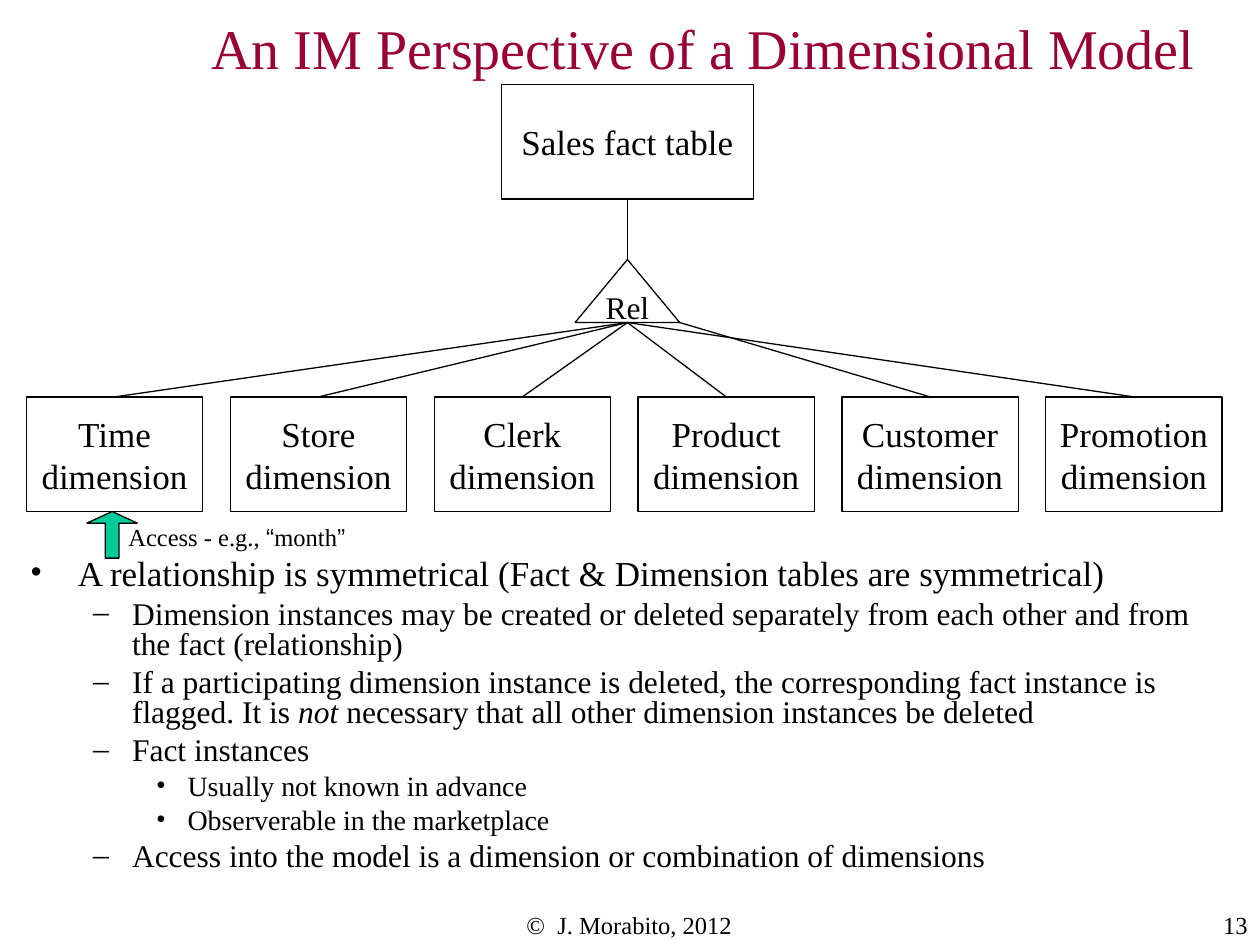
from lxml import etree
from pptx import Presentation
from pptx.dml.color import RGBColor
from pptx.enum.shapes import MSO_CONNECTOR, MSO_SHAPE
from pptx.enum.text import MSO_ANCHOR, PP_ALIGN
from pptx.oxml.ns import qn
from pptx.util import Inches, Pt

LEFT, CENTER, RIGHT = PP_ALIGN.LEFT, PP_ALIGN.CENTER, PP_ALIGN.RIGHT
TOP, MIDDLE = MSO_ANCHOR.TOP, MSO_ANCHOR.MIDDLE
RECTANGLE, TRIANGLE = MSO_SHAPE.RECTANGLE, MSO_SHAPE.ISOSCELES_TRIANGLE
UP_ARROW, STRAIGHT = MSO_SHAPE.UP_ARROW, MSO_CONNECTOR.STRAIGHT
SERIF, SANS = "Times New Roman", "Arial"
BLACK, MAROON, GREEN = "000000", "990033", "00CC99"

DIMENSIONS = ["Time", "Store", "Clerk", "Product", "Customer", "Promotion"]
LEVELS = [
    {"margin": 0.38, "hanging": 0.38, "before": 5, "bullet": "•", "size": 20},
    {"margin": 0.81, "hanging": 0.31, "before": 4.5, "bullet": "–", "size": 18},
    {"margin": 1.25, "hanging": 0.25, "before": 4, "bullet": "•", "size": 16},
]
POINTS = [
    (0, ["A relationship is symmetrical (Fact & Dimension tables are symmetrical)"]),
    (1, ["Dimension instances may be created or deleted separately from each other "
         "and from the fact (relationship)"]),
    (1, ["If a participating dimension instance is deleted, the corresponding fact "
         "instance is flagged. It is ", "not",
         " necessary that all other dimension instances be deleted"]),
    (1, ["Fact instances"]),
    (2, ["Usually not known in advance"]),
    (2, ["Observerable in the marketplace"]),
    (1, ["Access into the model is a dimension or combination of dimensions"]),
]


def rgb(value):
    """Turn a hex string into a colour."""
    return RGBColor.from_string(value)


def format_run(run, size, color=BLACK, font=SERIF):
    """Give a run its font, size and colour."""
    run.font.name = font
    run.font.size = Pt(size)
    run.font.color.rgb = rgb(color)


def write(frame, text, size, align, anchor=TOP, color=BLACK, wrap=True):
    """Fill a text frame with evenly formatted paragraphs."""
    frame.text = text
    frame.word_wrap = wrap
    frame.vertical_anchor = anchor
    for paragraph in frame.paragraphs:
        paragraph.alignment = align
        for run in paragraph.runs:
            format_run(run, size, color)


def add_label(slide, box, text, size, align, anchor=TOP, color=BLACK):
    """Place one line of text in the given box."""
    label = slide.shapes.add_textbox(*map(Inches, box))
    write(label.text_frame, text, size, align, anchor, color)


def add_outline(slide, preset, box, fill=None):
    """Place a thinly outlined preset shape."""
    outline = slide.shapes.add_shape(preset, *map(Inches, box))
    outline.shadow.inherit = False
    if fill:
        outline.fill.solid()
        outline.fill.fore_color.rgb = rgb(fill)
    else:
        outline.fill.background()
    outline.line.color.rgb = rgb(BLACK)
    outline.line.width = Pt(0.75)
    return outline


def add_entity(slide, preset, box, text, size=20):
    """Place an outlined shape with centred text."""
    entity = add_outline(slide, preset, box)
    write(entity.text_frame, text, size, CENTER, MIDDLE, wrap=False)


def add_link(slide, start, end):
    """Join two points with a thin line."""
    link = slide.shapes.add_connector(STRAIGHT, *map(Inches, start + end))
    link.line.color.rgb = rgb(BLACK)
    link.line.width = Pt(0.75)
    etree.SubElement(link._element.spPr, qn("a:effectLst"))


def add_model(slide, left, top, width, height):
    """Draw the fact table, its relationship and the row of dimensions."""
    fact_width, entity_width, entity_height = 2, 1.4, 0.91
    rel_width, rel_height = 0.83, 0.5
    center = left + 4.77
    rel_top = top + 1.39
    rel_bottom = rel_top + rel_height
    row_top = top + height - entity_height
    pitch = (width - entity_width) / (len(DIMENSIONS) - 1)

    add_entity(slide, RECTANGLE, (center - fact_width / 2, top, fact_width, entity_height),
               "Sales fact table")
    add_link(slide, (center, rel_top), (center, top + entity_height))
    add_entity(slide, TRIANGLE, (center - rel_width / 2, rel_top, rel_width, rel_height),
               "Rel", 18)
    for index, dimension in enumerate(DIMENSIONS):
        entity_left = left + index * pitch
        add_entity(slide, RECTANGLE, (entity_left, row_top, entity_width, entity_height),
                   f"{dimension}\ndimension")
        rel_end = center + rel_width / 2 if dimension == "Customer" else center
        add_link(slide, (entity_left + entity_width / 2, row_top), (rel_end, rel_bottom))


def add_access(slide, left, top, width, height):
    """Draw the access arrow and its caption."""
    arrow = add_outline(slide, UP_ARROW, (left, top, 0.4, height), GREEN)
    arrow.adjustments[0] = 0.27
    arrow.adjustments[1] = 0.25
    caption = slide.shapes.add_textbox(
        *map(Inches, (left + 0.23, top + 0.03, width - 0.23, 0.34)))
    caption.text_frame.word_wrap = False
    paragraph = caption.text_frame.paragraphs[0]
    for text, font in [("Access - e.g., ", SERIF), ("“", SANS), ("month", SERIF), ("”", SANS)]:
        run = paragraph.add_run()
        run.text = text
        format_run(run, 14, font=font)


def add_bullet(paragraph, level):
    """Give a paragraph the bullet and indent of its level."""
    properties = paragraph._p.get_or_add_pPr()
    properties.set("marL", str(Inches(level["margin"])))
    properties.set("indent", str(-Inches(level["hanging"])))
    bullet_color = etree.SubElement(properties, qn("a:buClr"))
    etree.SubElement(bullet_color, qn("a:srgbClr"), val=BLACK)
    etree.SubElement(properties, qn("a:buFont"), typeface=SERIF)
    etree.SubElement(properties, qn("a:buChar"), char=level["bullet"])


def add_points(slide, left, top, width, height):
    """Write the bulleted outline, with every second piece in italics."""
    outline = slide.shapes.add_textbox(*map(Inches, (left, top, width, height)))
    frame = outline.text_frame
    frame.word_wrap = True
    for index, (depth, pieces) in enumerate(POINTS):
        level = LEVELS[depth]
        paragraph = frame.add_paragraph() if index else frame.paragraphs[0]
        paragraph.level = depth
        add_bullet(paragraph, level)
        paragraph.line_spacing = 0.8
        if index:
            paragraph.space_before = Pt(level["before"])
        for position, piece in enumerate(pieces):
            run = paragraph.add_run()
            run.text = piece
            format_run(run, level["size"])
            run.font.italic = position % 2 == 1


def main():
    """Build the slide and save it."""
    presentation = Presentation()
    presentation.slide_width = Inches(10)
    presentation.slide_height = Inches(7.5)
    slide = presentation.slides.add_slide(presentation.slide_layouts[6])
    add_label(slide, (3.41, 7.17, 3.17, 0.25), "©  J. Morabito, 2012", 14, CENTER)
    add_label(slide, (8.58, 7.17, 1.42, 0.33), "13", 14, RIGHT)
    add_label(slide, (1.58, 0.08, 8.42, 0.58), "An IM Perspective of a Dimensional Model",
              32, LEFT, MIDDLE, MAROON)
    add_points(slide, 0.14, 4.39, 9.76, 2.76)
    add_model(slide, 0.21, 0.67, 9.49, 3.39)
    add_access(slide, 0.69, 4.06, 2.15, 0.37)
    presentation.save("out.pptx")


if __name__ == "__main__":
    main()
